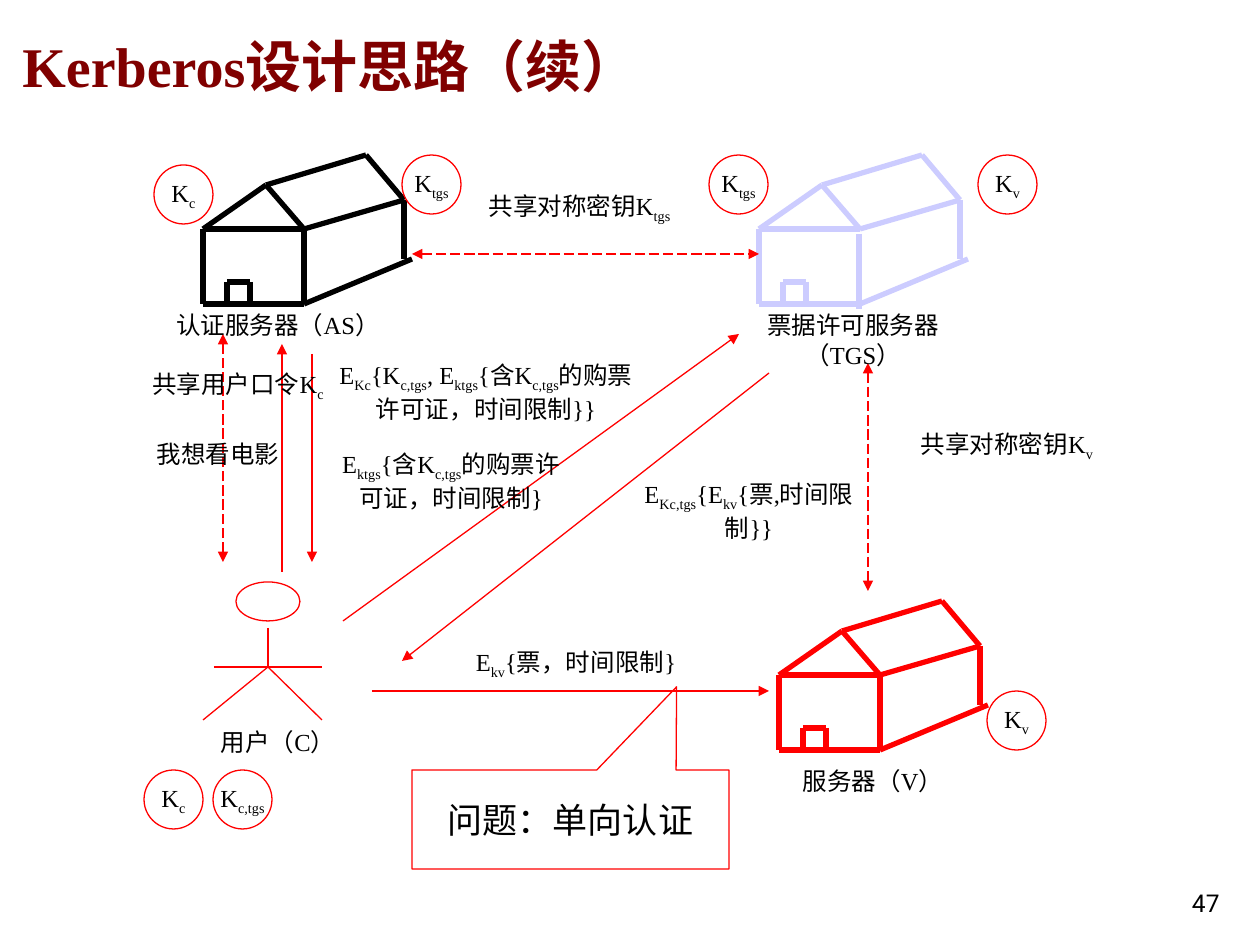
from typing import NamedTuple

from lxml import etree
from pptx import Presentation
from pptx import util as u
from pptx.dml.color import RGBColor
from pptx.enum import dml, shapes, text
from pptx.oxml import ns

PX = u.Inches(1) / 126
RED, BLACK, LILAC, MAROON = "FF0000", "000000", "CCCCFF", "800000"
SERIF = "Times New Roman"
KEY_SIZE = 59


class House(NamedTuple):
    x: int
    y: int
    color: str
    front_wall_shift: tuple[int, int] = (0, 0)


class Label(NamedTuple):
    """Text with subscripts between vertical bars."""
    content: str
    x: int
    y: int
    w: int
    h: int


class Key(NamedTuple):
    content: str
    x: int
    y: int


class Arrow(NamedTuple):
    x1: int
    y1: int
    x2: int
    y2: int
    shared: bool = False


# Line ends relative to the top left corner of a house; the front wall is apart
FRONT_WALL = (101, 74, 101, 149)
HOUSE_LINES = [
    (63, 30, 0, 74), (63, 30, 101, 74), (0, 74, 101, 74),
    (63, 30, 163, 0), (163, 0, 201, 45), (101, 74, 201, 45),
    (0, 74, 0, 149), (0, 149, 101, 149), (101, 149, 209, 104),
    (201, 45, 201, 104),
    (24, 127, 24, 149), (24, 127, 47, 127), (47, 127, 47, 149),
]
HOUSES = [
    House(759, 155, LILAC, (-1, 5)),
    House(779, 601, RED),
    House(203, 155, BLACK),
]
USER_LINES = [
    (268, 628, 268, 667), (268, 667, 203, 720),
    (268, 667, 322, 720), (214, 667, 322, 667),
]
ARROWS = [
    Arrow(282, 572, 282, 344),
    Arrow(312, 354, 312, 562),
    Arrow(343, 621, 739, 334),
    Arrow(769, 373, 402, 661),
    Arrow(372, 691, 769, 691),
    Arrow(412, 254, 759, 254, True),
    Arrow(868, 363, 868, 591, True),
    Arrow(223, 562, 223, 334, True),
]
LABELS = [
    Label("票据许可服务器（TGS）", 729, 304, 248, 72),
    Label("服务器（V）", 749, 760, 248, 43),
    Label("认证服务器（AS）", 154, 304, 248, 43),
    Label("用户（C）", 154, 721, 248, 43),
    Label("我想看电影", 114, 433, 208, 43),
    Label("E|Kc|{K|c,tgs|, E|ktgs|{含K|c,tgs|的购票许可证，时间限制}}",
          322, 354, 328, 76),
    Label("E|ktgs|{含K|c,tgs|的购票许可证，时间限制}", 322, 443, 258, 76),
    Label("E|Kc,tgs|{E|kv|{票,时间限制}}", 620, 473, 258, 76),
    Label("E|kv|{票，时间限制}", 412, 641, 328, 47),
    Label("共享对称密钥K|tgs|", 441, 185, 277, 47),
    Label("共享对称密钥K|v|", 868, 423, 278, 47),
    Label("共享用户口令K|c|", 134, 363, 208, 47),
]
KEYS = [
    Key("K|c,tgs|", 213, 770), Key("K|c|", 144, 770), Key("K|c|", 154, 165),
    Key("K|tgs|", 709, 155), Key("K|v|", 987, 691),
    Key("K|tgs|", 402, 155), Key("K|v|", 978, 155),
]


def px(n: float) -> int:
    return round(n * PX)


def rgb(value: str) -> RGBColor:
    return RGBColor.from_string(value)


def set_all(obj, values: dict) -> None:
    for name, value in values.items():
        setattr(obj, name, value)


def write(sp, content: str, size: int = 14, color: str = BLACK,
          font: str = SERIF, bold: bool = False, wrap: bool = True,
          align=text.PP_ALIGN.CENTER, anchor=text.MSO_ANCHOR.TOP) -> None:
    tf = sp.text_frame
    set_all(tf, {"word_wrap": wrap, "vertical_anchor": anchor})
    p = tf.paragraphs[0]
    p.alignment = align
    for i, part in enumerate(content.split("|")):
        if not part:
            continue
        r = p.add_run()
        r.text = part
        set_all(r.font, {"size": u.Pt(size), "name": font, "bold": bold})
        r.font.color.rgb = rgb(color)
        if i % 2:
            r._r.get_or_add_rPr().set("baseline", "-25000")


def add_text(s, label: Label, **style) -> None:
    sp = s.shapes.add_textbox(*map(px, label[1:]))
    write(sp, label.content, **style)


def add_outline(container, kind, x: int, y: int, w: int, h: int):
    """Unfilled shape with a thin red edge."""
    sp = container.add_shape(kind, px(x), px(y), px(w), px(h))
    sp.shadow.inherit = False
    sp.fill.background()
    sp.line.color.rgb = rgb(RED)
    sp.line.width = u.Pt(0.75)
    return sp


def add_line(container, ends: tuple, color: str = RED, width: float = 0.75):
    cn = container.add_connector(shapes.MSO_CONNECTOR.STRAIGHT, *map(px, ends))
    cn.line.color.rgb = rgb(color)
    cn.line.width = u.Pt(width)
    etree.SubElement(cn._element.spPr, ns.qn("a:effectLst"))
    return cn


def add_arrow(s, arrow: Arrow) -> None:
    """Solid one-way message, or dashed two-way line for a shared secret."""
    cn = add_line(s.shapes, arrow[:4])
    heads = ["a:tailEnd"]
    if arrow.shared:
        cn.line.dash_style = dml.MSO_LINE.LONG_DASH
        heads.insert(0, "a:headEnd")
    for tag in heads:
        etree.SubElement(cn.line._get_or_add_ln(), ns.qn(tag), type="triangle")


def add_house(s, house: House) -> None:
    group = s.shapes.add_group_shape().shapes
    dx, dy = house.front_wall_shift
    x1, y1, x2, y2 = FRONT_WALL
    wall = (x1 + dx, y1 + dy, x2 + dx, y2 + dy)
    for x1, y1, x2, y2 in [*HOUSE_LINES, wall]:
        ends = (house.x + x1, house.y + y1, house.x + x2, house.y + y2)
        add_line(group, ends, house.color, 3)


def add_user(s) -> None:
    group = s.shapes.add_group_shape().shapes
    add_outline(group, shapes.MSO_SHAPE.OVAL, 236, 582, 64, 39)
    for ends in USER_LINES:
        add_line(group, ends)


def add_key(s, key: Key) -> None:
    sp = add_outline(s.shapes, shapes.MSO_SHAPE.OVAL, key.x, key.y, KEY_SIZE, KEY_SIZE)
    write(sp, key.content, wrap=False, anchor=text.MSO_ANCHOR.MIDDLE)


def add_callout(s) -> None:
    sp = add_outline(s.shapes, shapes.MSO_SHAPE.RECTANGULAR_CALLOUT, 412, 770, 317, 99)
    sp.adjustments[0], sp.adjustments[1] = 0.335, -1.34
    write(sp, "问题：单向认证", size=20, anchor=text.MSO_ANCHOR.MIDDLE)


def main() -> None:
    prs = Presentation()
    set_all(prs, {"slide_width": px(1260), "slide_height": px(945)})
    s = prs.slides.add_slide(prs.slide_layouts[6])
    add_text(s, Label("Kerberos设计思路（续）", 10, 25, 1087, 92),
             size=32, color=MAROON, bold=True, align=text.PP_ALIGN.LEFT)
    for house in HOUSES:
        add_house(s, house)
    add_user(s)
    for arrow in ARROWS:
        add_arrow(s, arrow)
    for label in LABELS:
        add_text(s, label)
    add_callout(s)
    for key in KEYS:
        add_key(s, key)
    add_text(s, Label("47", 970, 861, 262, 63), font="Roboto",
             align=text.PP_ALIGN.RIGHT, anchor=text.MSO_ANCHOR.BOTTOM)
    prs.save("out.pptx")


if __name__ == "__main__":
    main()
